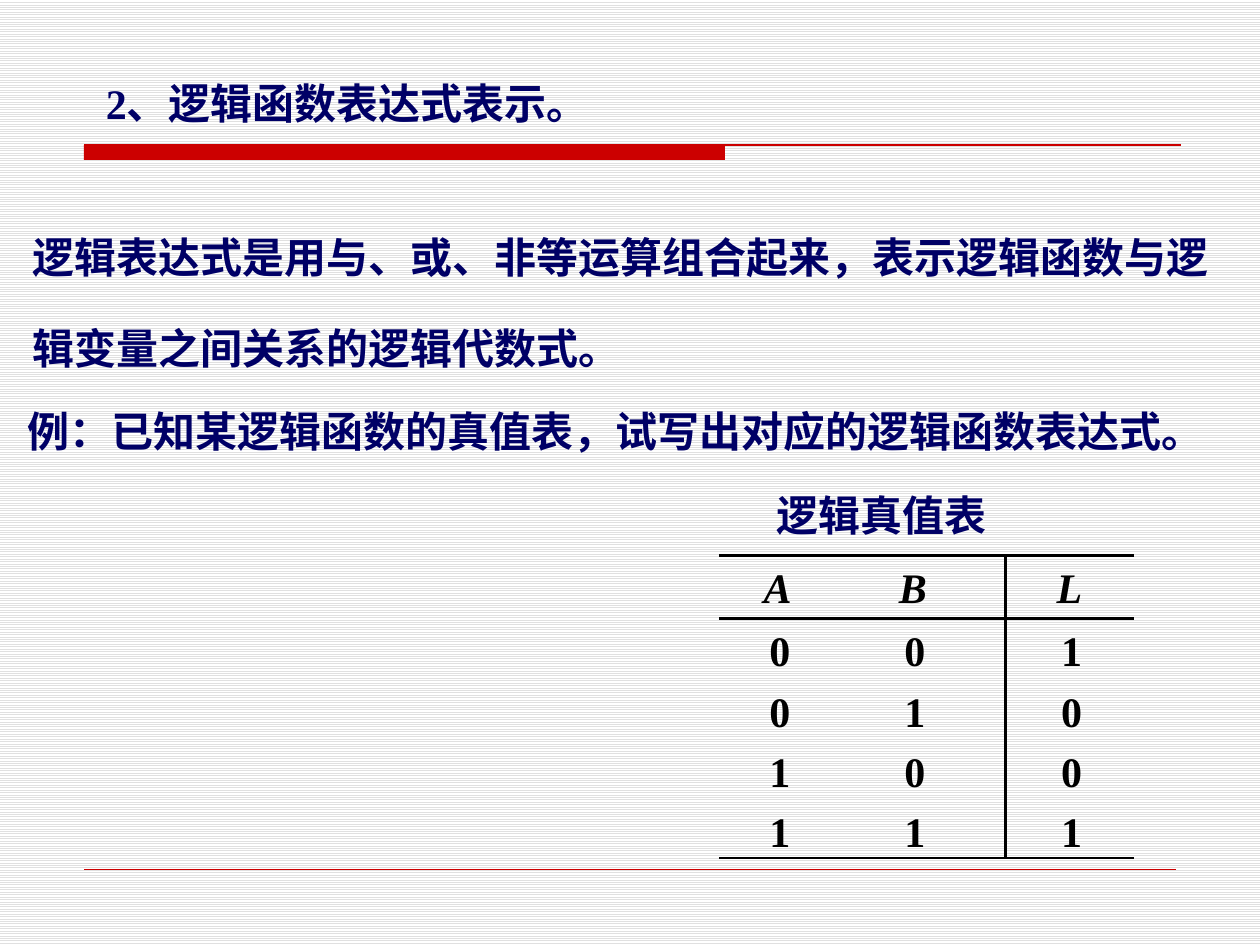
from typing import NamedTuple

from lxml import etree
from pptx import Presentation
from pptx import util as u
from pptx.dml.color import RGBColor
from pptx.enum import dml, shapes, text
from pptx.oxml import ns

Pt = u.Pt
NAVY = RGBColor(0x00, 0x00, 0x66)
RED = RGBColor(0xCC, 0x00, 0x00)
BLACK = RGBColor(0x00, 0x00, 0x00)
WHITE = RGBColor(0xFF, 0xFF, 0xFF)
GRAY = RGBColor(0xE0, 0xE0, 0xE0)
SERIF, SANS, NARROW = "Times New Roman", "Noto Sans CJK SC", "Arial Narrow"
MID, TOP = text.MSO_ANCHOR.MIDDLE, text.MSO_ANCHOR.TOP


class Note(NamedTuple):
    words: str
    left: float
    top: float
    width: float
    height: float
    face: str
    lead: float
    anchor: text.MSO_ANCHOR = TOP
    pads: tuple = (7.2, 3.6, 7.2, 3.6)


class Rule(NamedTuple):
    left: float
    top: float
    right: float
    foot: float
    weight: float = 1.5
    color: RGBColor = BLACK


NOTES = [
    Note("2、逻辑函数表达式表示。", 0, 32.2, 550, 44.6, SERIF, 1.3,
         pads=(60.5, 3.6, 7.2, 3.6)),
    Note("逻辑真值表", 416, 283, 225, 26, SANS, 0.9, pads=(27.5, 0, 0, 0)),
    Note("逻辑表达式是用与、或、非等运算组合起来，表示逻辑函数与逻辑变量之间关系的逻辑代数式。",
         11.5, 105.8, 695, 111, NARROW, 1.8, MID),
    Note("例：已知某逻辑函数的真值表，试写出对应的逻辑函数表达式。",
         8.6, 205.2, 720, 59, NARROW, 1.8, MID),
]

ROWS = ["ABL", "001", "010", "100", "111"]
COLS = [69, 94.4, 73.5]
PADS = [(0, 0), (0, 9), (2.2, 0)]
HEAD, STEP = 36, 34.4
LEFT, TOPY, FOOT = 411.1, 317.5, 490.3
RIGHT, SPLIT = LEFT + sum(COLS), LEFT + sum(COLS[:2])

RULES = [
    Rule(48.2, 82.8, 674.6, 82.8, 0.75, RED),
    Rule(48.2, 496.8, 671.8, 496.8, 0.25, RED),
    *(Rule(LEFT, y, RIGHT, y) for y in (TOPY, TOPY + HEAD, FOOT)),
    Rule(SPLIT, TOPY, SPLIT, FOOT),
]


def assign(obj, vals: dict) -> None:
    for key, val in vals.items():
        setattr(obj, key, val)


def style(para, face: str, color: RGBColor, lead: float, slant=None) -> None:
    para.line_spacing = lead
    assign(para.font, {"name": face, "size": Pt(24), "bold": True, "italic": slant})
    para.font.color.rgb = color


def add_note(slide, note: Note) -> None:
    box = slide.shapes.add_textbox(*map(Pt, note[1:5]))
    frame = box.text_frame
    sides = ("left", "top", "right", "bottom")
    pads = {f"margin_{side}": Pt(pad) for side, pad in zip(sides, note.pads)}
    assign(frame, {"word_wrap": True, "vertical_anchor": note.anchor,
                   "text": note.words, **pads})
    style(frame.paragraphs[0], note.face, NAVY, note.lead)


def add_rule(slide, rule: Rule) -> None:
    line = slide.shapes.add_connector(
        shapes.MSO_CONNECTOR.STRAIGHT, *map(Pt, rule[:4]))
    line.line.color.rgb = rule.color
    line.line.width = Pt(rule.weight)
    etree.SubElement(line._element.spPr, ns.qn("a:effectLst"))


def clear(cell) -> None:
    """Remove the fill and the four borders of a cell."""
    cell.fill.background()
    props = cell._tc.get_or_add_tcPr()
    for spot, side in enumerate("LRTB"):
        line = etree.Element(ns.qn(f"a:ln{side}"))
        etree.SubElement(line, ns.qn("a:noFill"))
        props.insert(spot, line)


def add_truth(slide) -> None:
    last = len(ROWS) - 1
    grid = slide.shapes.add_table(
        len(ROWS), len(COLS), Pt(LEFT), Pt(TOPY),
        Pt(sum(COLS)), Pt(HEAD + last * STEP)).table
    assign(grid, {"first_row": False, "horz_banding": False})
    for col, width in zip(grid.columns, COLS):
        col.width = Pt(width)
    for r, row in enumerate(ROWS):
        head = r == 0
        grid.rows[r].height = Pt(HEAD if head else STEP)
        for c, mark in enumerate(row):
            cell = grid.cell(r, c)
            left, right = PADS[c]
            assign(cell, {"text": mark, "vertical_anchor": TOP,
                          "margin_left": Pt(left), "margin_top": Pt(8.5),
                          "margin_right": Pt(right + 2.4 * head),
                          "margin_bottom": 0})
            para = cell.text_frame.paragraphs[0]
            para.alignment = text.PP_ALIGN.CENTER
            style(para, SERIF, BLACK, 0.9, head)
            clear(cell)


def main() -> None:
    deck = Presentation()
    assign(deck, {"slide_width": Pt(720), "slide_height": Pt(540)})
    slide = deck.slides.add_slide(deck.slide_layouts[6])
    back = slide.background.fill
    back.patterned()
    back.pattern = dml.MSO_PATTERN.LIGHT_HORIZONTAL
    back.fore_color.rgb, back.back_color.rgb = GRAY, WHITE

    bar = slide.shapes.add_shape(
        shapes.MSO_SHAPE.RECTANGLE, Pt(48), Pt(82.8), Pt(366.3), Pt(8.6))
    bar.shadow.inherit = False
    bar.fill.solid()
    bar.fill.fore_color.rgb = RED
    bar.line.fill.background()

    add_truth(slide)
    for rule in RULES:
        add_rule(slide, rule)
    for note in NOTES:
        add_note(slide, note)
    deck.save("out.pptx")


if __name__ == "__main__":
    main()
